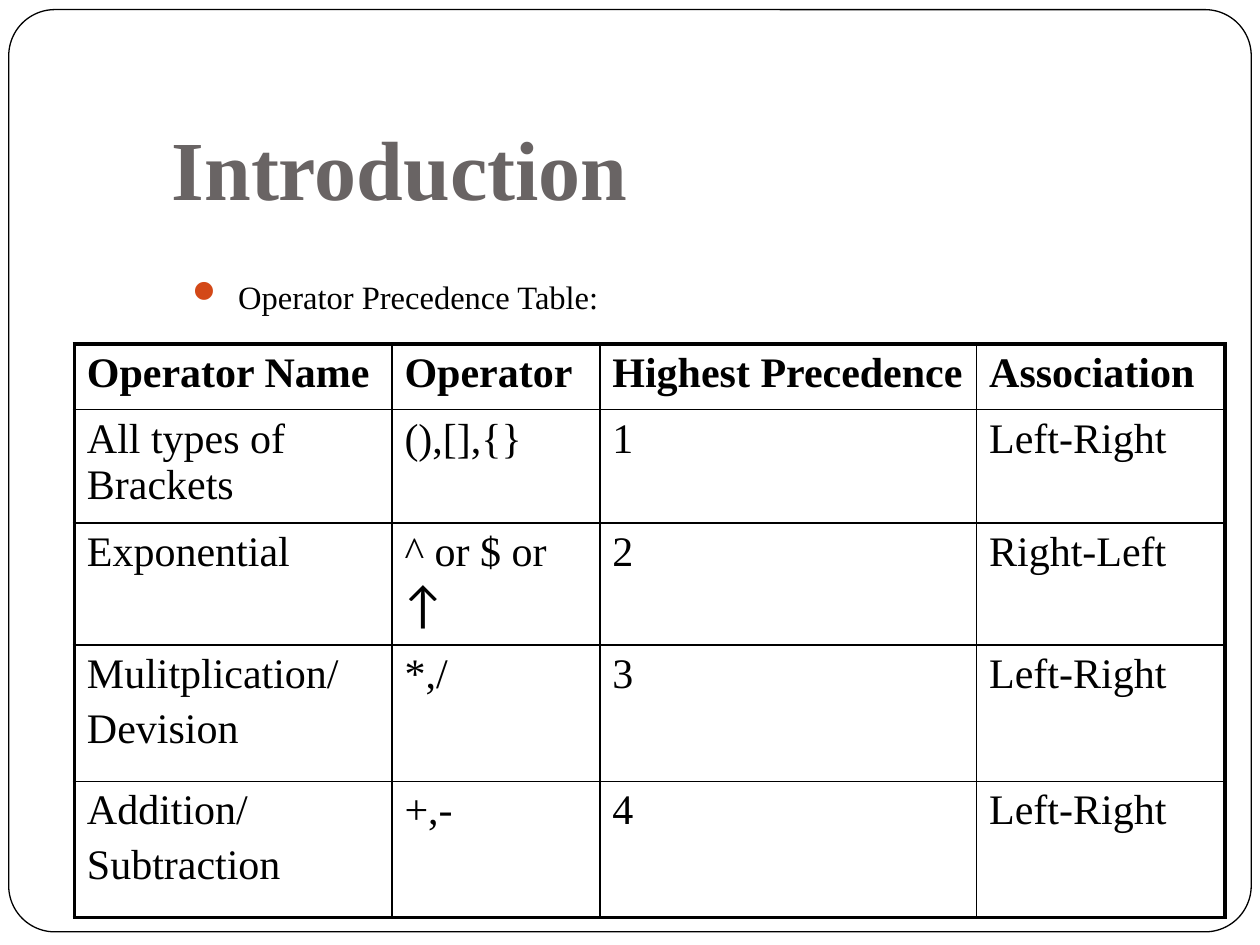
from dataclasses import dataclass

from lxml.etree import SubElement
from pptx import Presentation
from pptx.dml.color import RGBColor
from pptx.enum.shapes import MSO_SHAPE
from pptx.enum.text import MSO_ANCHOR
from pptx.oxml.ns import qn
from pptx.util import Pt


@dataclass(frozen=True)
class Theme:
    black: str = "000000"
    white: str = "FFFFFF"
    title_grey: str = "696464"
    bullet_orange: str = "D34817"
    serif: str = "Times New Roman"
    arrow_font: str = "Lato"
    title_size: float = 48
    body_size: float = 18.6
    table_size: float = 24
    arrow_size: float = 28
    outer_border: float = 2.25
    inner_border: float = 1


THEME = Theme()

COLUMN_WIDTHS = [181.5, 118.8, 215.3, 141.9]
ROW_HEIGHTS = [37.5, 60.5, 67, 78, 78]
OPERATORS = [
    ["Operator Name", "Operator", "Highest Precedence", "Association"],
    ["All types of Brackets", "(),[],{}", "1", "Left-Right"],
    ["Exponential", "^ or $ or ↑", "2", "Right-Left"],
    ["Mulitplication/\nDevision", "*,/", "3", "Left-Right"],
    ["Addition/\nSubtraction", "+,-", "4", "Left-Right"],
]


def add_run(paragraph, text, size, color=THEME.black, name=THEME.serif, bold=False):
    run = paragraph.add_run()
    run.text = text
    font_format = {"name": name, "size": Pt(size), "bold": bold}
    for attribute, value in font_format.items():
        setattr(run.font, attribute, value)
    run.font.color.rgb = RGBColor.from_string(color)


def add_text_frame(slide, box, **frame_format):
    frame = slide.shapes.add_textbox(*map(Pt, box)).text_frame
    frame_format = {"word_wrap": True, **frame_format}
    for attribute, value in frame_format.items():
        setattr(frame, attribute, value)
    return frame


def add_frame(slide, box):
    """Draw the rounded outline around the whole slide."""
    shape = slide.shapes.add_shape(MSO_SHAPE.ROUNDED_RECTANGLE, *map(Pt, box))
    shape.adjustments[0] = 0.05
    shape.shadow.inherit = False
    shape.fill.solid()
    shape.fill.fore_color.rgb = RGBColor.from_string(THEME.white)
    shape.line.color.rgb = RGBColor.from_string(THEME.black)
    shape.line.width = Pt(0.75)


def add_title(slide, box):
    frame = add_text_frame(
        slide, box, vertical_anchor=MSO_ANCHOR.BOTTOM, margin_bottom=Pt(7.2)
    )
    add_run(frame.paragraphs[0], "Introduction", THEME.title_size,
            THEME.title_grey, bold=True)


def add_bullet(slide, box):
    paragraph = add_text_frame(slide, box).paragraphs[0]
    paragraph.line_spacing = 0.8
    properties = paragraph._p.get_or_add_pPr()
    properties.set("marL", str(Pt(36)))
    properties.set("indent", str(Pt(-28.8)))
    color = SubElement(properties, qn("a:buClr"))
    SubElement(color, qn("a:srgbClr"), val=THEME.bullet_orange)
    SubElement(properties, qn("a:buSzPct"), val="119000")
    SubElement(properties, qn("a:buChar"), char="⚫")
    add_run(paragraph, "Operator Precedence Table:", THEME.body_size)


def set_borders(cell, outer_sides):
    """Draw all four borders, with the heavy width on the outer sides."""
    properties = cell._tc.get_or_add_tcPr()
    for position, side in enumerate("LRTB"):
        width = THEME.outer_border if side in outer_sides else THEME.inner_border
        line = SubElement(properties, qn(f"a:ln{side}"), w=str(Pt(width)))
        fill = SubElement(line, qn("a:solidFill"))
        SubElement(fill, qn("a:srgbClr"), val=THEME.black)
        properties.insert(position, line)


def fill_cell(cell, text, bold):
    cell.fill.background()
    frame = cell.text_frame
    for index, line in enumerate(text.split("\n")):
        paragraph = frame.add_paragraph() if index else frame.paragraphs[0]
        if index:
            paragraph.space_before = Pt(4.8)
        words, arrow, _ = line.partition("↑")
        add_run(paragraph, words, THEME.table_size, bold=bold)
        if arrow:
            add_run(paragraph, arrow, THEME.arrow_size, name=THEME.arrow_font)


def add_operator_table(slide, left, top):
    box = left, top, sum(COLUMN_WIDTHS), sum(ROW_HEIGHTS)
    last_row, last_column = len(ROW_HEIGHTS) - 1, len(COLUMN_WIDTHS) - 1
    table = slide.shapes.add_table(
        last_row + 1, last_column + 1, *map(Pt, box)
    ).table
    table.first_row = table.horz_banding = False
    for column, width in zip(table.columns, COLUMN_WIDTHS):
        column.width = Pt(width)
    for row, height in zip(table.rows, ROW_HEIGHTS):
        row.height = Pt(height)
    for row_index, texts in enumerate(OPERATORS):
        for column_index, text in enumerate(texts):
            cell = table.cell(row_index, column_index)
            fill_cell(cell, text, bold=row_index == 0)
            edges = {"L": column_index == 0, "R": column_index == last_column,
                     "T": row_index == 0, "B": row_index == last_row}
            set_borders(cell, [side for side, outer in edges.items() if outer])


def main():
    presentation = Presentation()
    presentation.slide_width, presentation.slide_height = Pt(720), Pt(540)
    slide = presentation.slides.add_slide(presentation.slide_layouts[6])
    add_frame(slide, (5, 5.5, 710, 527))
    add_title(slide, (91, 16.5, 613.5, 115))
    add_bullet(slide, (93, 159, 425.5, 31.5))
    add_operator_table(slide, 42.5, 196.5)
    presentation.save("out.pptx")


if __name__ == "__main__":
    main()
